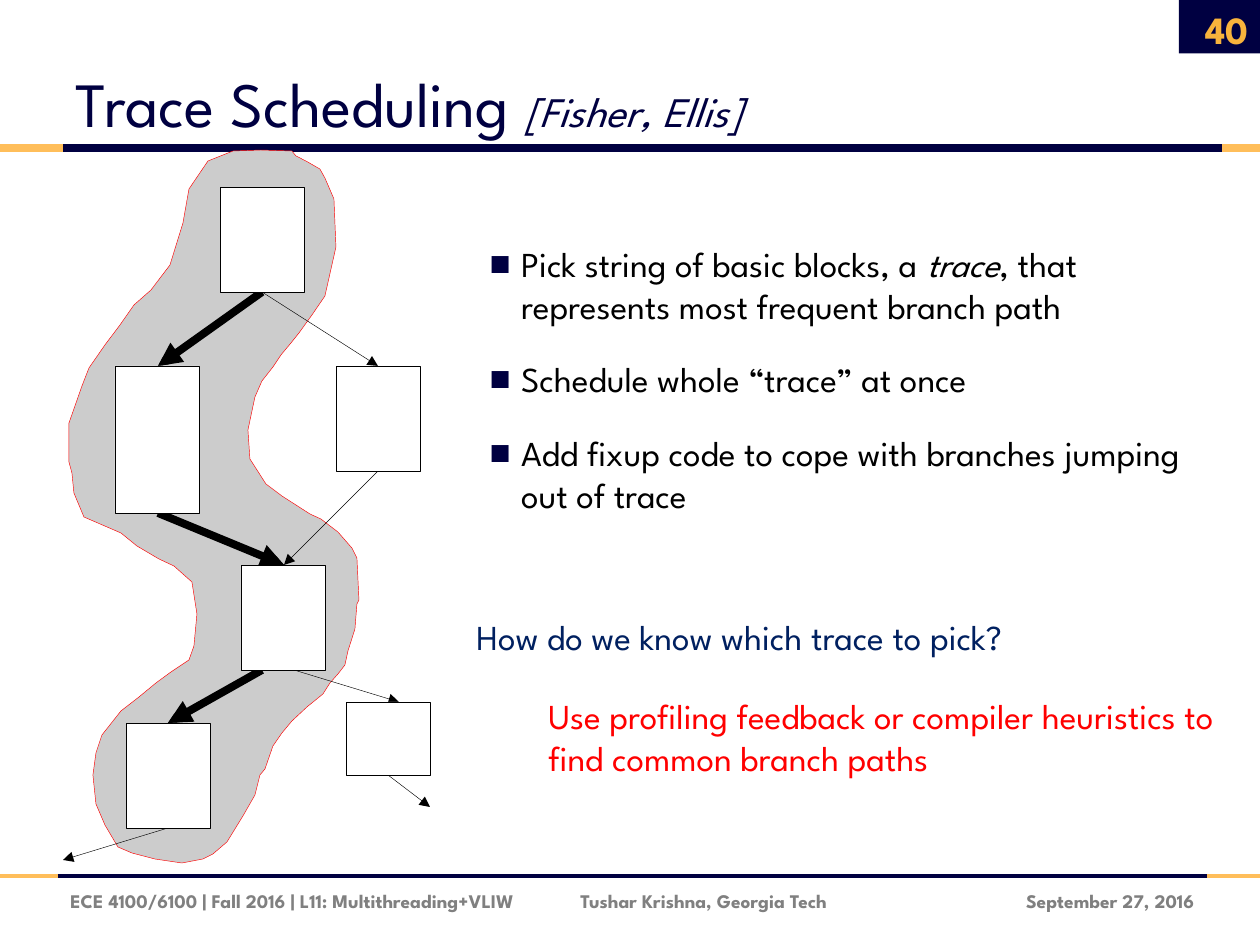
from lxml import etree
from pptx import Presentation
from pptx.dml.color import RGBColor
from pptx.enum.shapes import MSO_CONNECTOR, MSO_SHAPE
from pptx.enum.text import MSO_ANCHOR, MSO_AUTO_SIZE, PP_ALIGN
from pptx.oxml.ns import qn
from pptx.util import Emu, Pt

LEFT, RIGHT = PP_ALIGN.LEFT, PP_ALIGN.RIGHT
TOP, MID, LOW = MSO_ANCHOR.TOP, MSO_ANCHOR.MIDDLE, MSO_ANCHOR.BOTTOM
RECT, LINE, FIT = MSO_SHAPE.RECTANGLE, MSO_CONNECTOR.STRAIGHT, MSO_AUTO_SIZE.NONE
FONT = "League Spartan"
NAVY, GOLD, BLACK, RED = "000041", "FFBE5A", "000000", "FF0000"
SCALE = 914400 / 126  # EMU per px

# Content: each paragraph is a list of (text, format) runs
TITLE = [[("Trace Scheduling ", {"size": 36}),
          ("[Fisher, Ellis]", {"size": 24, "italic": True})]]
POINTS = [
    [("Pick string of basic blocks, a ", {}), ("trace", {"italic": True}),
     (", that represents most frequent branch path", {})],
    [("Schedule whole “trace” at once", {})],
    [("Add fixup code to cope with branches jumping out of trace", {})],
]
SMALL = {"size": 11, "bold": True}
# box, text, run format, colour, alignment, anchor, space before
NOTES = [
    ((965, 876, 242, 50), "September 27, 2016", SMALL, "7F7F7F", RIGHT, MID, 0),
    ((58, 876, 936, 50), "ECE 4100/6100 | Fall 2016 | L11: Multithreading+VLIW"
     "\tTushar Krishna, Georgia Tech", SMALL, "808080", LEFT, MID, 0),
    ((1177, 4, 84, 50), "40", {"size": 22, "bold": True}, "F8B33C", RIGHT, MID, 0),
    ((464, 609, 712, 54), "How do we know which trace to pick?",
     {"size": 20}, "002060", LEFT, TOP, 4),
    ((536, 688, 701, 97), "Use profiling feedback or compiler heuristics to "
     "find common branch paths", {"size": 20}, RED, LEFT, TOP, 4),
]
# Rules across the page: y, width in points, x of the colour changes
RULES = [(876, 2.25, (0, 58, 1207, 1260)), (148, 4.5, (0, 63, 1222, 1260))]
HUES = [GOLD, NAVY, GOLD]

# Flow graph
BLOCKS = [(115, 366, 84, 147), (336, 366, 84, 105), (220, 187, 84, 105),
          (241, 565, 84, 105), (126, 723, 84, 105), (346, 702, 84, 73)]
HOT = [(262, 292, 158, 366), (158, 513, 284, 565), (262, 670, 168, 723)]
COLD = [(262, 292, 378, 366), (378, 471, 284, 565), (294, 670, 399, 702),
        (388, 775, 430, 807), (168, 828, 63, 860)]
CLOUD = [
    (357, 604), (355, 629), (348, 651), (345, 665), (338, 674), (330, 683),
    (323, 694), (307, 707), (292, 721), (282, 733), (273, 746), (265, 769),
    (260, 775), (255, 795), (243, 816), (227, 842), (213, 854), (203, 859),
    (182, 863), (155, 859), (132, 853), (118, 847), (105, 825), (96, 804),
    (93, 775), (96, 753), (102, 735), (121, 711), (139, 697), (156, 683),
    (171, 672), (189, 660), (194, 646), (197, 614), (192, 582), (174, 566),
    (159, 559), (137, 546), (121, 533), (84, 517), (74, 493), (72, 473),
    (69, 462), (69, 423), (82, 386), (89, 368), (105, 345), (120, 325),
    (134, 305), (151, 290), (170, 265), (183, 223), (189, 189), (208, 161),
    (233, 151), (261, 150), (292, 151), (296, 156), (306, 161), (320, 169),
    (325, 178), (334, 199), (336, 247), (325, 296), (312, 315), (299, 333),
    (291, 343), (281, 355), (273, 367), (262, 381), (255, 397), (248, 430),
    (250, 459), (266, 484), (282, 496), (310, 514), (321, 519), (338, 532),
    (352, 548), (357, 558), (359, 600),
]


def px(*nums):
    return [Emu(round(n * SCALE)) for n in nums]


def rgb(hue):
    return RGBColor.from_string(hue)


def sub(node, tag, **attrs):
    return etree.SubElement(node, qn(tag), attrs)


def paint(shape, fill, edge=None):
    shape.shadow.inherit = False
    shape.fill.solid()
    shape.fill.fore_color.rgb = rgb(fill)
    if edge:
        shape.line.color.rgb = rgb(edge)
        shape.line.width = Pt(0.25)
    else:
        shape.line.fill.background()
    return shape


def link(shapes, ends, hue, width, arrow=False):
    line = shapes.add_connector(LINE, *px(*ends))
    line.line.color.rgb = rgb(hue)
    line.line.width = Pt(width)
    if arrow:
        sub(line.line._get_or_add_ln(), "a:tailEnd", type="triangle")
    sub(line._element.spPr, "a:effectLst")
    return line


def write(shape, box, paras, hue, align=LEFT, anchor=TOP, gap=0):
    shape.left, shape.top, shape.width, shape.height = px(*box)
    frame = shape.text_frame
    look = {"word_wrap": True, "auto_size": FIT, "vertical_anchor": anchor}
    for key, val in look.items():
        setattr(frame, key, val)
    for i, runs in enumerate(paras):
        para = frame.add_paragraph() if i else frame.paragraphs[0]
        para.alignment, para.space_before = align, Pt(gap)
        for text, form in runs:
            run = para.add_run()
            run.text = text
            run.font.name = FONT
            run.font.color.rgb = rgb(hue)
            for key, val in form.items():
                setattr(run.font, key, Pt(val) if key == "size" else val)
    return frame.paragraphs


deck = Presentation()
deck.slide_width, deck.slide_height = px(1260, 945)
slide = deck.slides.add_slide(deck.slide_layouts[1])
shapes = slide.shapes
title, body = slide.placeholders

# Page frame, moved to the slide master
frame = [paint(shapes.add_shape(RECT, *px(1179, 0, 86, 53.5)), NAVY)]
for y, width, stops in RULES:
    for a, b, hue in zip(stops, stops[1:], HUES):
        frame.append(link(shapes, (a, y, b, y), hue, width))
tree = deck.slide_master.shapes._spTree
for n, part in enumerate(frame):
    part._element.nvXxPr.cNvPr.set("id", str(100 + n)) if hasattr(
        part._element, "nvXxPr") else None
    tree.append(part._element)

# Title and bullets
write(title, (63, 20, 1031, 126), TITLE, NAVY, anchor=LOW)
plain = [[(text, {"size": 20, **form}) for text, form in runs] for runs in POINTS]
for para in write(body, (477, 236, 737, 285), plain, BLACK, gap=18):
    props = para._p.get_or_add_pPr()
    props.set("marL", "228600")
    props.set("indent", "-228600")
    sub(sub(props, "a:buClr"), "a:srgbClr", val=NAVY)
    sub(props, "a:buFont", typeface="Arial")
    sub(props, "a:buChar", char="■")

# Trace outline
first, *rest = CLOUD
pen = shapes.build_freeform(*px(*first))
pen.add_line_segments([px(*p) for p in rest], close=True)
paint(pen.convert_to_shape(), "CCCCCC", RED)

# Flow graph: hot path in bold, then all edges and blocks
for ends in HOT:
    link(shapes, ends, BLACK, 4.5, True)
graph = shapes.add_group_shape().shapes
for ends in HOT + COLD:
    link(graph, ends, BLACK, 0.25, True)
for box in BLOCKS:
    paint(graph.add_shape(RECT, *px(*box)), "FFFFFF", BLACK)

# Footer, page number, question and answer
for box, text, form, *look in NOTES:
    para = write(shapes.add_textbox(*px(*box)), box, [[(text, form)]], *look)[0]
    if "\t" in text:
        tabs = sub(para._p.get_or_add_pPr(), "a:tabLst")
        sub(tabs, "a:tab", pos=str(px(510)[0]), algn="l")

deck.save("out.pptx")
